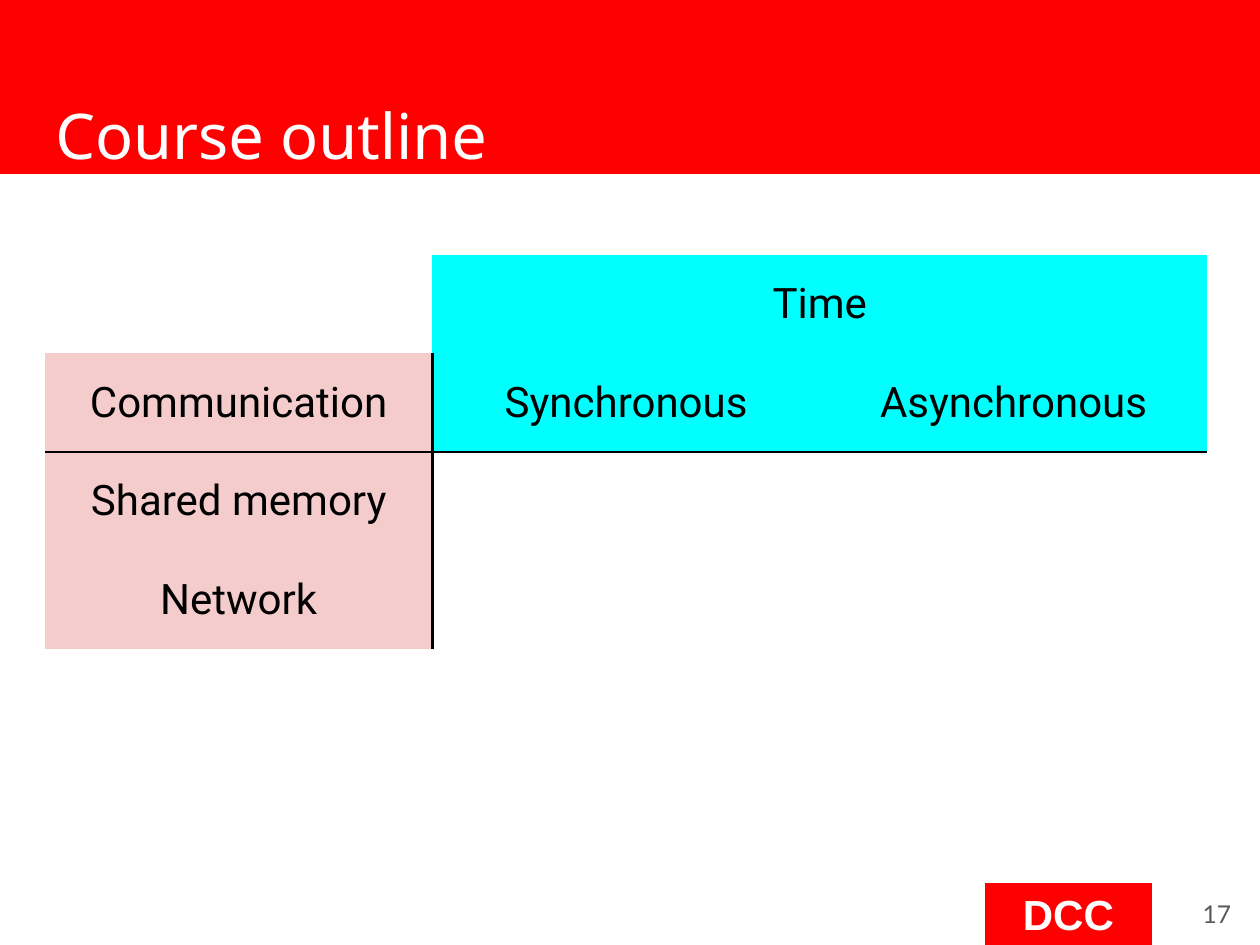
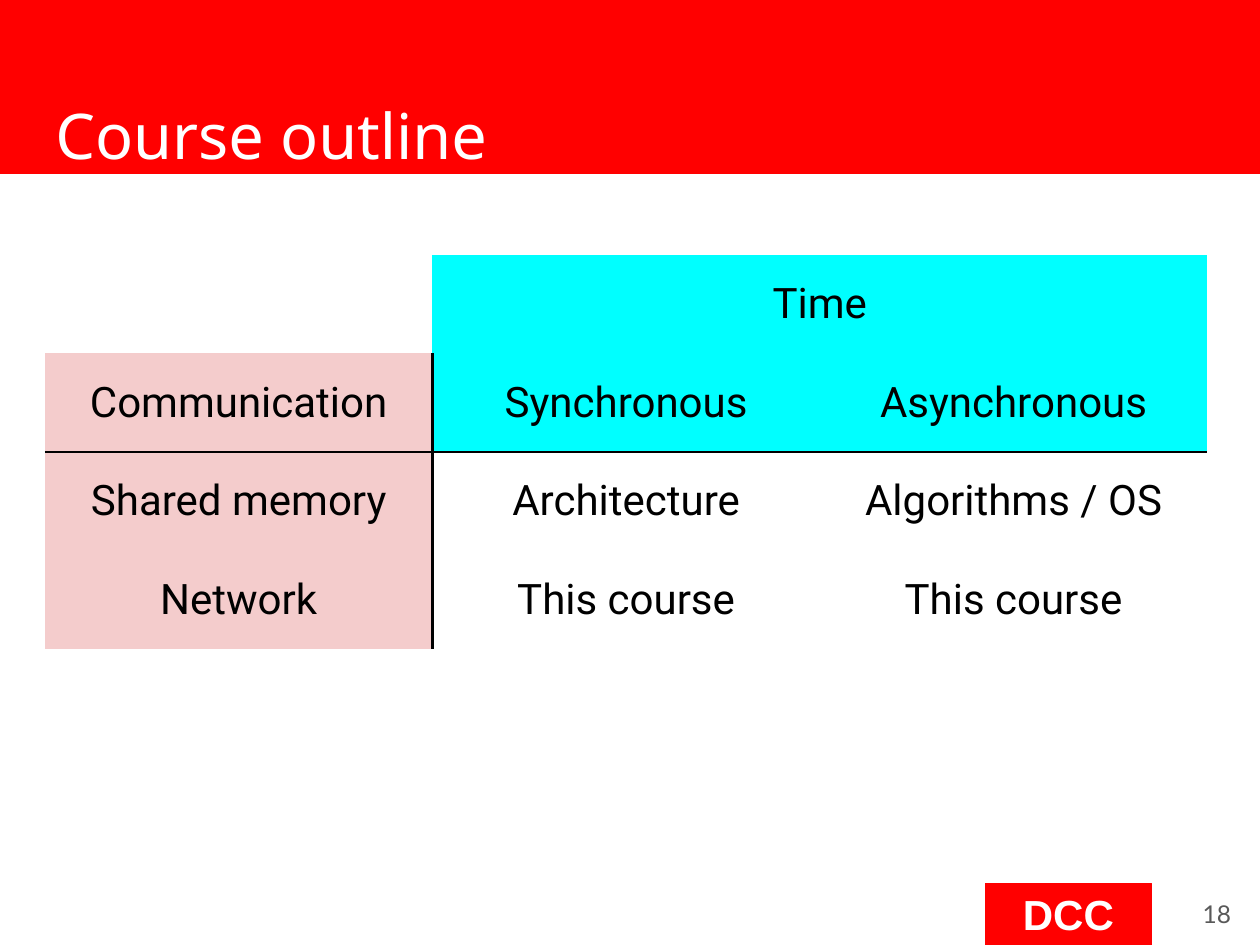
"""Build two course outline slides that reveal a time/communication table."""
from lxml import etree
from pptx import Presentation
from pptx.dml.color import RGBColor
from pptx.enum.shapes import MSO_SHAPE
from pptx.enum.text import MSO_ANCHOR, PP_ALIGN
from pptx.oxml.ns import qn
from pptx.util import Pt

RECTANGLE = MSO_SHAPE.RECTANGLE
MIDDLE = MSO_ANCHOR.MIDDLE
LEFT, CENTER, RIGHT = PP_ALIGN.LEFT, PP_ALIGN.CENTER, PP_ALIGN.RIGHT

TITLE = "Course outline"
BADGE = "DCC"
HEADER_ROWS = [["", "Time", ""], ["Communication", "Synchronous", "Asynchronous"]]
ROW_LABELS = ["Shared memory", "Network"]
SLIDES = [
    {"number": "17", "answers": [["", ""], ["", ""]]},
    {"number": "18", "answers": [["Architecture", "Algorithms / OS"],
                                 ["This course", "This course"]]},
]


class Theme:
    red = RGBColor(0xFF, 0x00, 0x00)
    time_fill = RGBColor(0x00, 0xFF, 0xFF)
    communication_fill = RGBColor(0xF4, 0xCC, 0xCC)
    rule = "000000"
    rule_width = Pt(1.5)
    outline_width = Pt(0.75)
    inset = Pt(7.2)
    title = {"name": "Noto Sans", "size": Pt(36), "color": RGBColor(0xFF, 0xFF, 0xFF)}
    badge = {"name": "Arial", "size": Pt(24), "bold": True,
             "color": RGBColor(0xFF, 0xFF, 0xFF)}
    number = {"name": "Lato", "size": Pt(14), "color": RGBColor(0x59, 0x59, 0x59)}
    cell = {"name": "Roboto", "size": Pt(24), "color": RGBColor(0x00, 0x00, 0x00)}


SLIDE_SIZE = (720, 540)
BAND_BOX = (0, 0, 720, 99.2)
BADGE_BOX = (563, 504.7, 95, 35.3)
TITLE_BOX = (24.5, 46.8, 671, 59.8)
NUMBER_BOX = (667.4, 501.8, 43.2, 41)
TABLE_ORIGIN = (25.7, 145.6)
COLUMN_WIDTH, ROW_HEIGHT = 221.4, 56.4


def points(box):
    return [Pt(value) for value in box]


def write(frame, text, style, alignment):
    paragraph = frame.paragraphs[0]
    paragraph.alignment = alignment
    run = paragraph.add_run()
    run.text = text
    for name, value in style.items():
        if name == "color":
            run.font.color.rgb = value
        else:
            setattr(run.font, name, value)


def set_frame(frame, text, style, alignment):
    settings = {"word_wrap": True, "vertical_anchor": MIDDLE}
    settings.update({f"margin_{side}": Theme.inset
                     for side in ("left", "right", "top", "bottom")})
    for name, value in settings.items():
        setattr(frame, name, value)
    write(frame, text, style, alignment)


def add_red_box(slide, box):
    shape = slide.shapes.add_shape(RECTANGLE, *points(box))
    shape.shadow.inherit = False
    shape.fill.solid()
    shape.fill.fore_color.rgb = Theme.red
    shape.line.color.rgb = Theme.red
    shape.line.width = Theme.outline_width
    return shape


def add_label(slide, box, text, style, alignment):
    label = slide.shapes.add_textbox(*points(box))
    set_frame(label.text_frame, text, style, alignment)


def set_borders(cell, ruled_sides):
    properties = cell._tc.get_or_add_tcPr()
    for position, side in enumerate("LRTB"):
        line = etree.Element(qn(f"a:ln{side}"))
        if side in ruled_sides:
            line.set("w", str(Theme.rule_width))
            fill = etree.SubElement(line, qn("a:solidFill"))
            etree.SubElement(fill, qn("a:srgbClr"), val=Theme.rule)
        else:
            etree.SubElement(line, qn("a:noFill"))
        properties.insert(position, line)


def ruled_sides(row, column):
    sides = {1: "B", 2: "T"}.get(row, "")
    if row > 0:
        sides += {0: "R", 1: "L"}.get(column, "")
    return sides


def cell_fill(row, column):
    if column == 0:
        return Theme.communication_fill if row > 0 else None
    return Theme.time_fill if row < len(HEADER_ROWS) else None


def format_cell(cell, row, column, text):
    fill = cell_fill(row, column)
    if fill is None:
        cell.fill.background()
    else:
        cell.fill.solid()
        cell.fill.fore_color.rgb = fill
    set_borders(cell, ruled_sides(row, column))
    cell.vertical_anchor = MIDDLE
    for side in ("left", "right", "top", "bottom"):
        setattr(cell, f"margin_{side}", Theme.inset)
    if text:
        write(cell.text_frame, text, Theme.cell, CENTER)


def add_outline_table(slide, answers):
    rows = HEADER_ROWS + [[label, *cells] for label, cells in zip(ROW_LABELS, answers)]
    row_count, column_count = len(rows), len(rows[0])
    size = (COLUMN_WIDTH * column_count, ROW_HEIGHT * row_count)
    table = slide.shapes.add_table(row_count, column_count,
                                   *points(TABLE_ORIGIN + size)).table
    table.first_row = table.horz_banding = False
    for column in table.columns:
        column.width = Pt(COLUMN_WIDTH)
    for row in table.rows:
        row.height = Pt(ROW_HEIGHT)
    table.cell(0, 1).merge(table.cell(0, 2))
    for row, texts in enumerate(rows):
        for column, text in enumerate(texts):
            format_cell(table.cell(row, column), row, column, text)


def add_outline_slide(presentation, content):
    slide = presentation.slides.add_slide(presentation.slide_layouts[6])
    add_red_box(slide, BAND_BOX)
    badge = add_red_box(slide, BADGE_BOX)
    set_frame(badge.text_frame, BADGE, Theme.badge, CENTER)
    add_label(slide, TITLE_BOX, TITLE, Theme.title, LEFT)
    add_label(slide, NUMBER_BOX, content["number"], Theme.number, RIGHT)
    add_outline_table(slide, content["answers"])


def main():
    presentation = Presentation()
    presentation.slide_width, presentation.slide_height = points(SLIDE_SIZE)
    for content in SLIDES:
        add_outline_slide(presentation, content)
    presentation.save("out.pptx")


if __name__ == "__main__":
    main()
